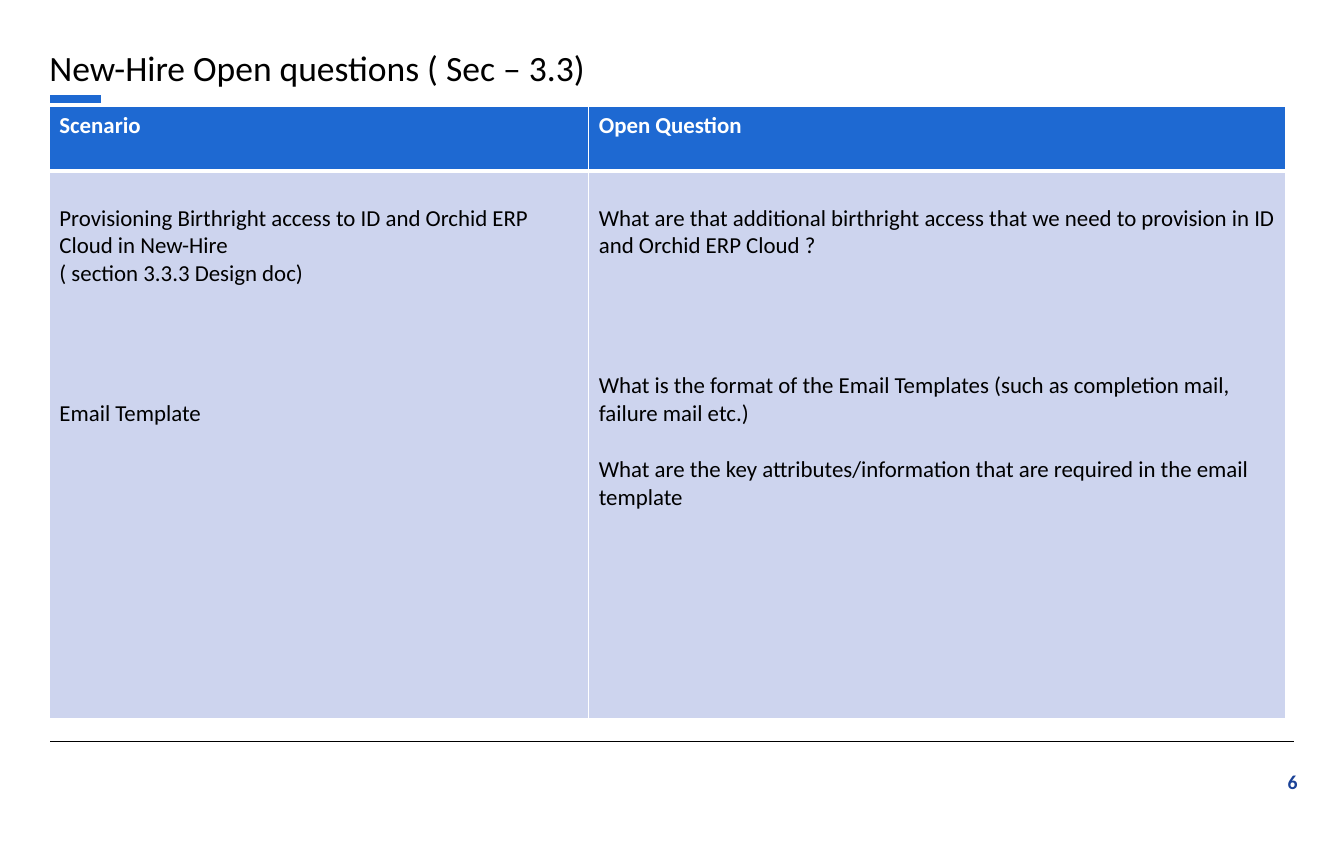
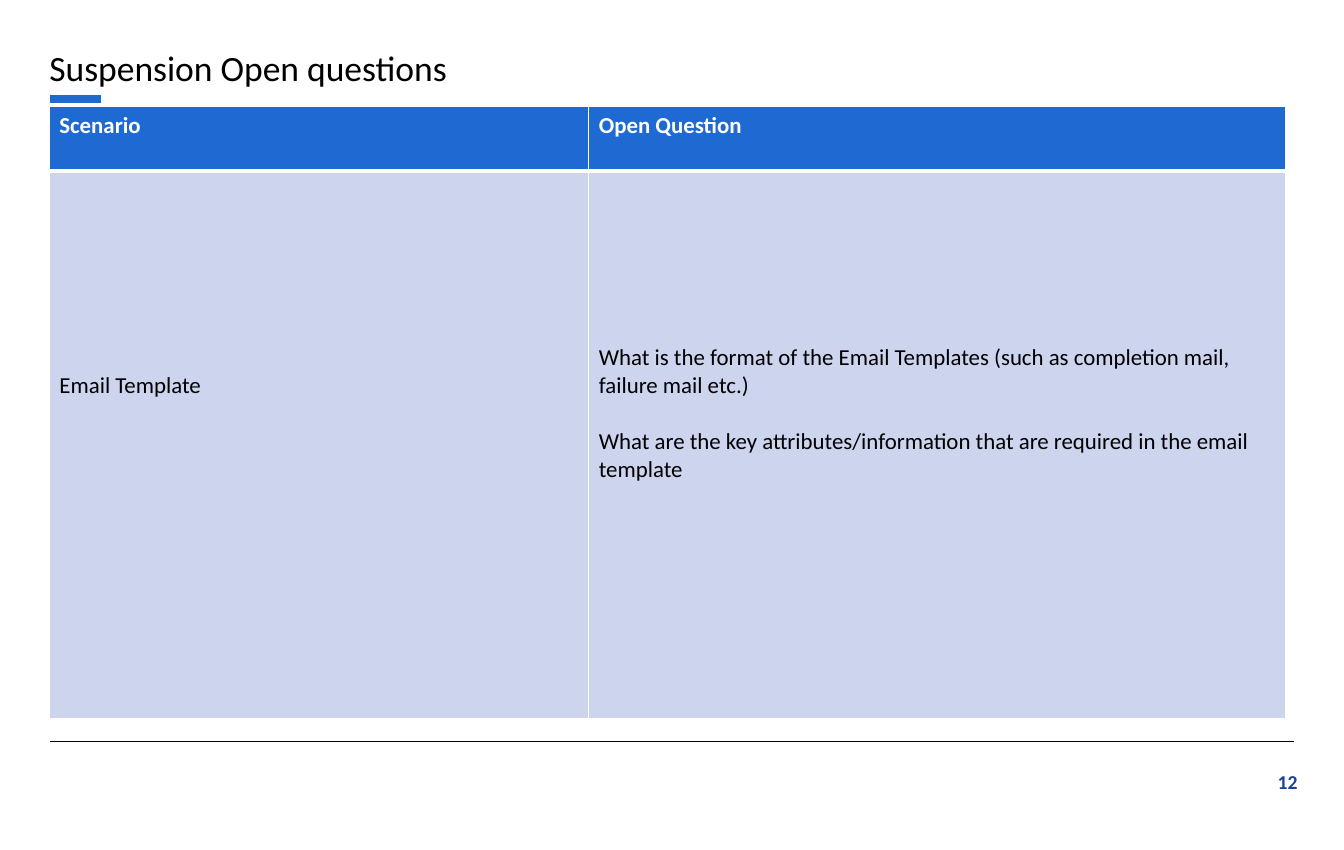
from lxml.etree import SubElement
from pptx import Presentation
from pptx.dml.color import RGBColor
from pptx.enum.shapes import MSO_CONNECTOR
from pptx.enum.text import MSO_ANCHOR, PP_ALIGN
from pptx.oxml.ns import qn
from pptx.util import Inches, Pt

BLACK = RGBColor(0x00, 0x00, 0x00)
WHITE = RGBColor(0xFF, 0xFF, 0xFF)
BLUE = RGBColor(0x1E, 0x69, 0xD2)
NAVY = RGBColor(0x1B, 0x42, 0x97)
PALE = RGBColor(0xCD, 0xD4, 0xEE)

TITLE = dict(size=Pt(28), color=BLACK, bold=False)
HEAD = dict(size=Pt(18), color=WHITE, bold=True)
BODY = dict(size=Pt(18), color=BLACK, bold=False)
NUMBER = dict(size=Pt(15.5), color=NAVY, bold=True)

LINE = 22  # points from one body line to the next
HEADS = ("Scenario", "Open Question")
MAIL = "Email Template"
FORMAT = ("What is the format of the Email Templates "
          "(such as completion mail, failure mail etc.)")
KEYS = ("What are the key attributes/information that are required "
        "in the email template")

# Each body cell lists (lines of space above, text).
PAGES = [
    (6, "New-Hire Open questions ( Sec – 3.3)", (
        [(1, "Provisioning Birthright access to ID and Orchid ERP "
             "Cloud in New-Hire"),
         (0, "( section 3.3.3 Design doc)"),
         (4, MAIL)],
        [(1, "What are that additional birthright access that we need "
             "to provision in ID and Orchid ERP Cloud ?"),
         (4, FORMAT),
         (1, KEYS)])),
    (12, "Suspension Open questions", (
        [(7, MAIL)],
        [(6, FORMAT), (1, KEYS)])),
]


class Deck:
    def __init__(self):
        self.prs = Presentation()
        self.prs.slide_width = Inches(14.7)
        self.prs.slide_height = Inches(9.3)

    def page(self, number, title):
        layout = self.prs.slide_layouts[5]
        self.slide = self.prs.slides.add_slide(layout)
        self.rule(0.55, 14.15, 8.11, BLACK, 0.75)
        self.number(number)
        self.rule(0.55, 1.1, 1.08, BLUE, 6)
        self.title(title)

    def style(self, para, look):
        para.font.name = "Calibri"
        for name, value in look.items():
            if name == "color":
                para.font.color.rgb = value
            else:
                setattr(para.font, name, value)

    def title(self, text):
        box = self.slide.shapes.title
        place = dict(left=0.44, top=0.51, width=7.96, height=0.77)
        for name, value in place.items():
            setattr(box, name, Inches(value))
        frame = box.text_frame
        frame.text = text
        frame.vertical_anchor = MSO_ANCHOR.TOP
        para = frame.paragraphs[0]
        para.alignment = PP_ALIGN.LEFT
        para.line_spacing = 0.9
        self.style(para, TITLE)

    def number(self, value):
        box = self.slide.shapes.add_textbox(
            Inches(13.48), Inches(8.37), Inches(0.81), Inches(0.36))
        box.text_frame.word_wrap = True
        para = box.text_frame.paragraphs[0]
        para.text = str(value)
        para.alignment = PP_ALIGN.RIGHT
        self.style(para, NUMBER)

    def rule(self, left, right, y, color, width):
        line = self.slide.shapes.add_connector(
            MSO_CONNECTOR.STRAIGHT,
            Inches(left), Inches(y), Inches(right), Inches(y))
        line.line.color.rgb = color
        line.line.width = Pt(width)
        SubElement(line._element.spPr, qn("a:effectLst"))

    def edges(self, cell, **widths):
        """Draw white cell borders; widths are points keyed by side."""
        props = cell._tc.get_or_add_tcPr()
        for side, width in widths.items():
            edge = SubElement(props, qn("a:ln" + side), w=str(Pt(width)))
            fill = SubElement(edge, qn("a:solidFill"))
            SubElement(fill, qn("a:srgbClr"), val=str(WHITE))

    def cell(self, cell, items, look, fill):
        """Fill a cell; space above the first item becomes its top margin."""
        cell.margin_left = cell.margin_right = Inches(0.11)
        cell.margin_top = Inches(0.06) + Pt(items[0][0] * LINE)
        cell.margin_bottom = Inches(0.06)
        cell.fill.solid()
        cell.fill.fore_color.rgb = fill
        frame = cell.text_frame
        for i, (gap, text) in enumerate(items):
            para = frame.add_paragraph() if i else frame.paragraphs[0]
            para.text = text
            if i and gap:
                para.space_before = Pt(gap * LINE)
            self.style(para, look)

    def table(self, cells):
        table = self.slide.shapes.add_table(
            2, 2, Inches(0.54), Inches(1.16),
            Inches(13.52), Inches(6.7)).table
        for col, width in zip(table.columns, (5.9, 7.62)):
            col.width = Inches(width)
        for row, height in zip(table.rows, (0.71, 5.99)):
            row.height = Inches(height)
        for i, (head, items) in enumerate(zip(HEADS, cells)):
            top, body = table.cell(0, i), table.cell(1, i)
            self.edges(top, L=1, R=1, T=1, B=3)
            self.edges(body, L=1, R=1, T=3, B=1)
            self.cell(top, [(0, head)], HEAD, BLUE)
            self.cell(body, items, BODY, PALE)


def main():
    deck = Deck()
    for number, title, cells in PAGES:
        deck.page(number, title)
        deck.table(cells)
    deck.prs.save("out.pptx")


if __name__ == "__main__":
    main()
